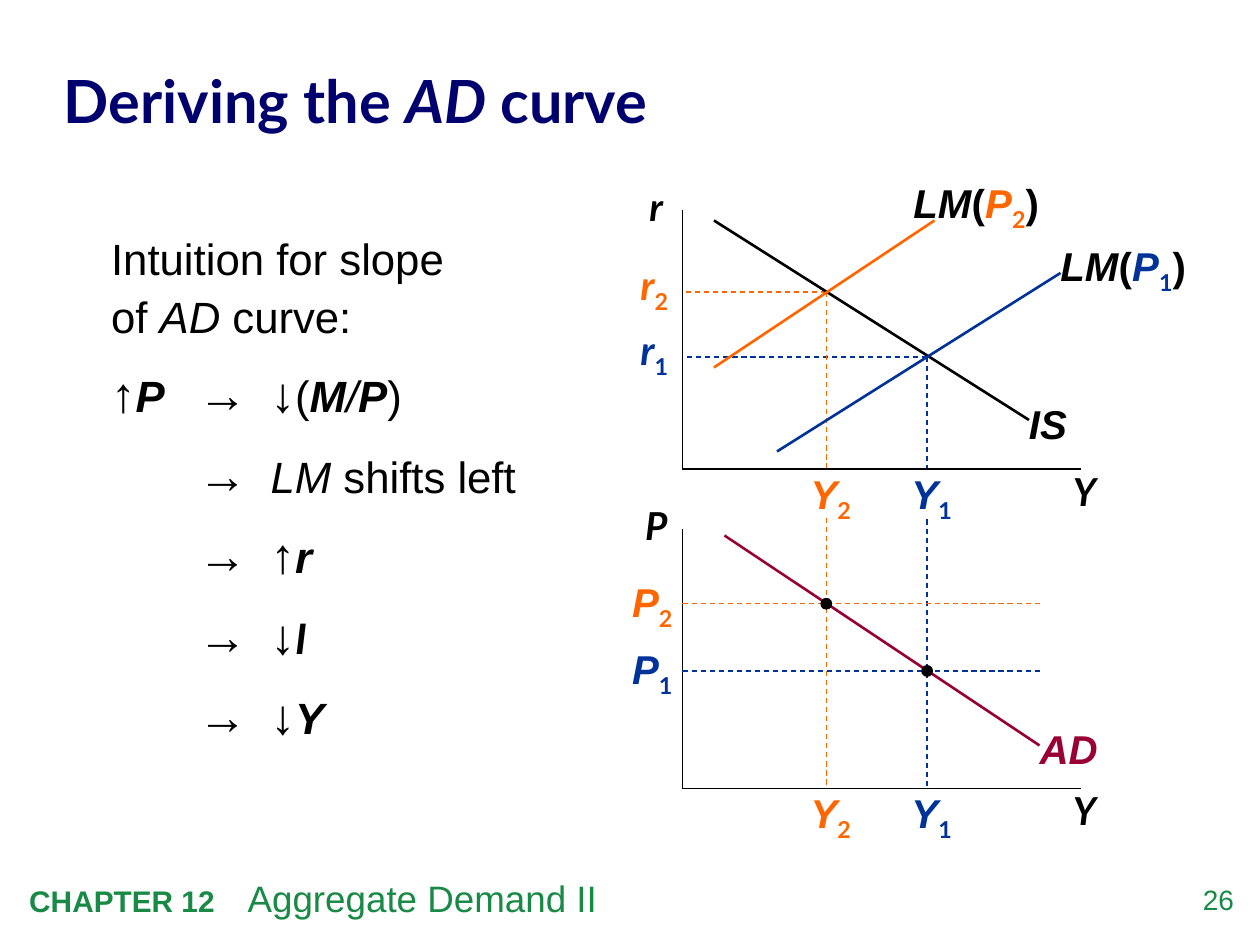
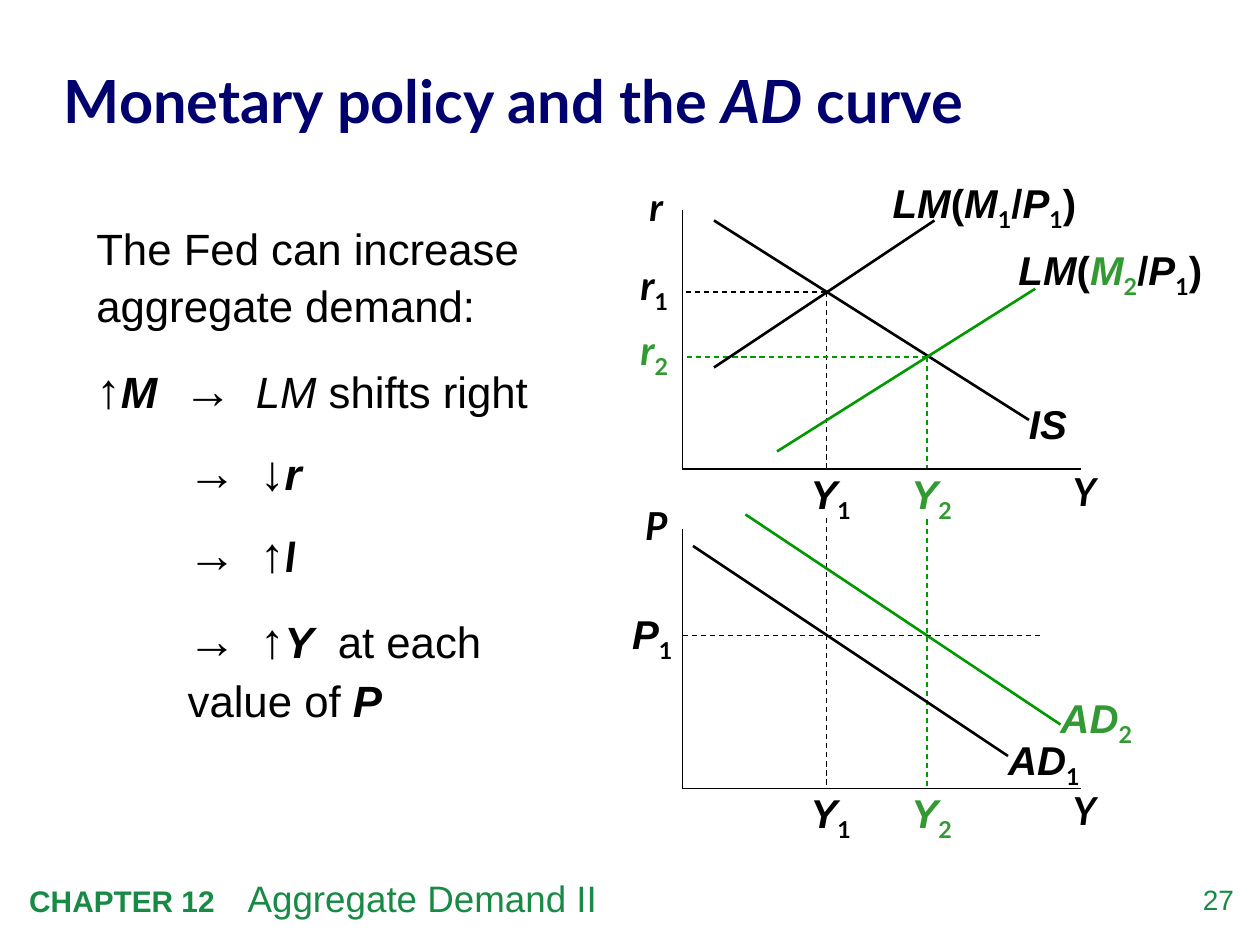
from dataclasses import dataclass, replace

from lxml import etree
from pptx import Presentation
from pptx import util as u
from pptx.dml import color as c
from pptx.enum import dml, shapes, text
from pptx.oxml import ns


# Theme: colours, type sizes and line widths
@dataclass(frozen=True)
class Theme:
    sans: str = "Arial"
    accent: str = "Lato"
    ink: str = "000000"
    paper: str = "FFFFFF"
    title: str = "00006E"
    footer: str = "198A46"
    orange: str = "FF6600"
    blue: str = "003399"
    maroon: str = "990033"
    green_line: str = "009900"
    green_text: str = "339933"
    title_size: int = 34
    body_size: int = 25
    arrow_size: int = 28
    symbol_size: int = 23
    axis_size: int = 22
    topic_size: int = 21
    chapter_size: int = 17
    number_size: int = 16
    thin: float = 0.75
    axis: float = 1
    curve: float = 1.5


THEME = Theme()

# Grid of 120 columns and 90 rows over the slide
SLIDE_WIDTH, SLIDE_HEIGHT = u.Inches(10), u.Inches(7.5)
COLUMN, ROW = SLIDE_WIDTH / 120, SLIDE_HEIGHT / 90

# Places in the diagrams, in columns and rows
ORIGIN, AXIS_END, GUIDE_END = 65, 103, 99
LOW_Y, HIGH_Y = 78.7, 88.3
HIGH_R, LOW_R = 27.8, 34
MARKET_TOP, DEMAND_TOP, AXIS_HEIGHT = 20, 50.4, 24.7
MARKET_BASE, DEMAND_BASE = MARKET_TOP + AXIS_HEIGHT, DEMAND_TOP + AXIS_HEIGHT
BODY_TABS = (8.3, 15.2, 22.6)


@dataclass(frozen=True)
class Span:
    text: str
    size: float = THEME.body_size
    font: str = THEME.sans
    color: str = THEME.ink
    bold: bool = False
    italic: bool = False
    subscript: bool = False


BREAK = Span("\n")
UP = Span("↑", THEME.arrow_size)
DOWN = Span("↓", THEME.arrow_size)
LEADS_TO = [Span("\t"), Span("→", THEME.arrow_size), Span("\t")]


def variable(name):
    return Span(name, bold=True, italic=True)


INVESTMENT = replace(variable("I"), size=24, font=THEME.accent)


def symbol(letter, index="", color=THEME.ink, font=THEME.sans):
    """Bold italic letter with an upright subscript."""
    spans = [Span(letter, THEME.symbol_size, font, color, True, True)]
    if index:
        spans.append(Span(index, THEME.symbol_size, THEME.accent, color, True, subscript=True))
    return spans


def upright(mark):
    return [Span(mark, THEME.symbol_size, bold=True)]


def lm_name(*inside):
    return symbol("LM") + upright("(") + sum(inside, []) + upright(")")


# Basic elements
def rgb(value):
    return c.RGBColor.from_string(value)


def place(left, top, width, height):
    return [round(n) for n in (left * COLUMN, top * ROW, width * COLUMN, height * ROW)]


def add_spans(para, spans):
    for span in spans:
        if span is BREAK:
            para.add_line_break()
            continue
        run = para.add_run()
        run.text = span.text
        run.font.size, run.font.name = u.Pt(span.size), span.font
        run.font.bold, run.font.italic = span.bold, span.italic
        run.font.color.rgb = rgb(span.color)
        if span.subscript:
            run._r.get_or_add_rPr().set("baseline", "-25000")


def add_tabs(para, stops):
    tabs = etree.SubElement(para._p.get_or_add_pPr(), ns.qn("a:tabLst"))
    for stop in stops:
        etree.SubElement(tabs, ns.qn("a:tab"), pos=str(round(stop * COLUMN)), algn="l")


def add_text(page, at, lines, inset=True, align=text.PP_ALIGN.LEFT, spacing=None,
             gap=0, tabs=(), anchor=text.MSO_ANCHOR.TOP, fill=None):
    box = page.shapes.add_textbox(*place(*at))
    if fill:
        box.fill.solid()
        box.fill.fore_color.rgb = rgb(fill)
    frame = box.text_frame
    frame.word_wrap, frame.vertical_anchor = True, anchor
    if not inset:
        frame.margin_left = frame.margin_top = frame.margin_right = frame.margin_bottom = 0
    for index, spans in enumerate(lines):
        para = frame.add_paragraph() if index else frame.paragraphs[0]
        para.alignment = align
        if spacing:
            para.line_spacing = spacing
        if index:
            para.space_before = u.Pt(gap)
        if tabs:
            add_tabs(para, tabs)
        add_spans(para, spans)


def add_label(page, left, top, spans, width=5, fill=None):
    add_text(page, (left, top, width, 4.6), [spans], inset=False, fill=fill)


def add_line(page, start, end, color, width, dashed=False):
    ends = place(*start, *end)
    line = page.shapes.add_connector(shapes.MSO_CONNECTOR.STRAIGHT, *ends)
    line.line.color.rgb, line.line.width = rgb(color), u.Pt(width)
    if dashed:
        line.line.dash_style = dml.MSO_LINE.DASH
    etree.SubElement(line._element.spPr, ns.qn("a:effectLst"))


def add_dot(page, column, row):
    dot = page.shapes.add_shape(shapes.MSO_SHAPE.OVAL, *place(column - 0.5, row - 0.5, 1, 1))
    dot.shadow.inherit = False
    dot.fill.solid()
    dot.fill.fore_color.rgb = dot.line.color.rgb = rgb(THEME.ink)
    dot.line.width = u.Pt(THEME.thin)


# Parts of the diagrams
def add_axes(page, top, name):
    base = top + AXIS_HEIGHT
    add_line(page, (ORIGIN, top), (ORIGIN, base), THEME.ink, THEME.axis)
    add_line(page, (ORIGIN, base), (AXIS_END, base), THEME.ink, THEME.axis)
    for letter, at, align in (
        ("Y", (101, base - 0.7, 7, 5.6), text.PP_ALIGN.LEFT),
        (name, (60, top - 3.2, 5, 5.6), text.PP_ALIGN.CENTER),
    ):
        span = Span(letter, THEME.axis_size, THEME.accent, bold=True, italic=True)
        add_text(page, at, [[span]], align=align)


def add_curve(page, start, end, color, name, label_at, label_width=9, fill=None):
    add_label(page, *label_at, name, label_width, fill)
    add_line(page, start, end, color, THEME.curve)


def add_equilibrium(page, output, rate, index, line_color, text_color):
    """Dashed guides from one IS-LM crossing, with its Y and r names."""
    add_line(page, (output, rate), (output, DEMAND_BASE), line_color, THEME.thin, True)
    add_line(page, (output, rate), (ORIGIN, rate), line_color, THEME.thin, True)
    for base in (MARKET_BASE, DEMAND_BASE):
        add_label(page, output - 1.5, base, symbol("Y", index, text_color), fill=THEME.paper)
    add_label(page, ORIGIN - 4, rate - 3, symbol("r", index, text_color, THEME.accent))


def add_price(page, row, index, color):
    add_line(page, (ORIGIN, row), (GUIDE_END, row), color, THEME.thin, True)
    add_label(page, ORIGIN - 4.8, row - 2.5, symbol("P", index, color))


def add_diagram_frame(page):
    add_axes(page, MARKET_TOP, "r")
    add_axes(page, DEMAND_TOP, "P")
    add_curve(page, (68, 21), (98, 40), THEME.ink, symbol("IS"), (98, 38), 5)


# Shared page parts
def add_page(deck, number, title):
    page = deck.slides.add_slide(deck.slide_layouts[6])
    heading = Span(title, THEME.title_size, THEME.accent, THEME.title, True)
    spans = [heading, replace(heading, text="AD", italic=True), replace(heading, text=" curve")]
    add_text(page, (6.1, 3.1, 108.2, 12.4), [spans], inset=False, spacing=1.05,
             anchor=text.MSO_ANCHOR.MIDDLE)
    chapter = Span("CHAPTER 12", THEME.chapter_size, color=THEME.footer, bold=True)
    topic = Span("\tAggregate Demand II", THEME.topic_size, color=THEME.footer)
    add_text(page, (1.6, 82.8, 98, 5.4), [[chapter, topic]], tabs=(20.8,))
    folio = Span(str(number), THEME.number_size, color=THEME.footer)
    add_text(page, (110.9, 84.1, 6.6, 3.8), [[folio]], inset=False, align=text.PP_ALIGN.RIGHT)
    return page


def add_body(page, at, lines, gap):
    add_text(page, at, lines, spacing=1.1, gap=gap, tabs=BODY_TABS)


def build_derivation(deck):
    page = add_page(deck, 26, "Deriving the ")
    add_equilibrium(page, HIGH_Y, LOW_R, "1", THEME.blue, THEME.blue)
    add_equilibrium(page, LOW_Y, HIGH_R, "2", THEME.orange, THEME.orange)
    add_diagram_frame(page)
    add_curve(page, (74, 43), (101, 26), THEME.blue,
              lm_name(symbol("P", "1", THEME.blue)), (101, 23), 13)
    add_curve(page, (68, 35), (89, 21), THEME.orange,
              lm_name(symbol("P", "2", THEME.orange)), (87, 17), 13)
    add_curve(page, (69, 51), (99, 71), THEME.maroon,
              symbol("AD", color=THEME.maroon), (99, 69))
    for output, price, index, color in (
        (HIGH_Y, 63.9, "1", THEME.blue),
        (LOW_Y, 57.5, "2", THEME.orange),
    ):
        add_price(page, price, index, color)
        add_dot(page, output, price)
    add_body(page, (9.4, 21, 43, 56.9), [
        [Span("Intuition for slope"), BREAK, Span("of "), Span("AD", italic=True),
         Span(" curve:")],
        [UP, variable("P"), *LEADS_TO, DOWN, Span("("), variable("M"),
         Span("/", italic=True), variable("P"), Span(")")],
        [*LEADS_TO, Span("LM", italic=True), Span(" shifts left")],
        [*LEADS_TO, UP, variable("r")],
        [*LEADS_TO, DOWN, INVESTMENT],
        [*LEADS_TO, DOWN, variable("Y")],
    ], gap=9)


def build_policy(deck):
    page = add_page(deck, 27, "Monetary policy and the ")
    add_equilibrium(page, LOW_Y, HIGH_R, "1", THEME.ink, THEME.ink)
    add_equilibrium(page, HIGH_Y, LOW_R, "2", THEME.green_line, THEME.green_text)
    add_diagram_frame(page)
    price = upright("/") + symbol("P", "1")
    add_curve(page, (74, 43), (98.6, 27.5), THEME.green_line,
              lm_name(symbol("M", "2", THEME.green_text), price), (97, 23.4), 19, THEME.paper)
    add_curve(page, (68, 35), (89, 21), THEME.ink,
              lm_name(symbol("M", "1"), price), (85, 17), 22)
    add_curve(page, (66, 52), (96, 72), THEME.ink, symbol("AD", "1"), (96, 70))
    add_curve(page, (71, 49), (101, 69), THEME.green_line,
              symbol("AD", "2", THEME.green_text), (101, 66))
    add_price(page, 60.5, "1", THEME.ink)
    add_body(page, (8, 20, 49, 21.8), [
        [Span("The Fed can increase aggregate demand:")],
        [UP, variable("M"), *LEADS_TO, Span("LM", italic=True), Span(" shifts right")],
    ], gap=12.5)
    add_body(page, (8.4, 40.9, 49, 6), [[*LEADS_TO, DOWN, variable("r")]], gap=0)
    add_body(page, (8.4, 48.7, 49, 21), [
        [*LEADS_TO, UP, INVESTMENT],
        [*LEADS_TO, UP, variable("Y"), Span("\tat each"), BREAK,
         Span("\tvalue of "), variable("P")],
    ], gap=12.5)


def main():
    deck = Presentation()
    deck.slide_width, deck.slide_height = SLIDE_WIDTH, SLIDE_HEIGHT
    build_derivation(deck)
    build_policy(deck)
    deck.save("out.pptx")


if __name__ == "__main__":
    main()
